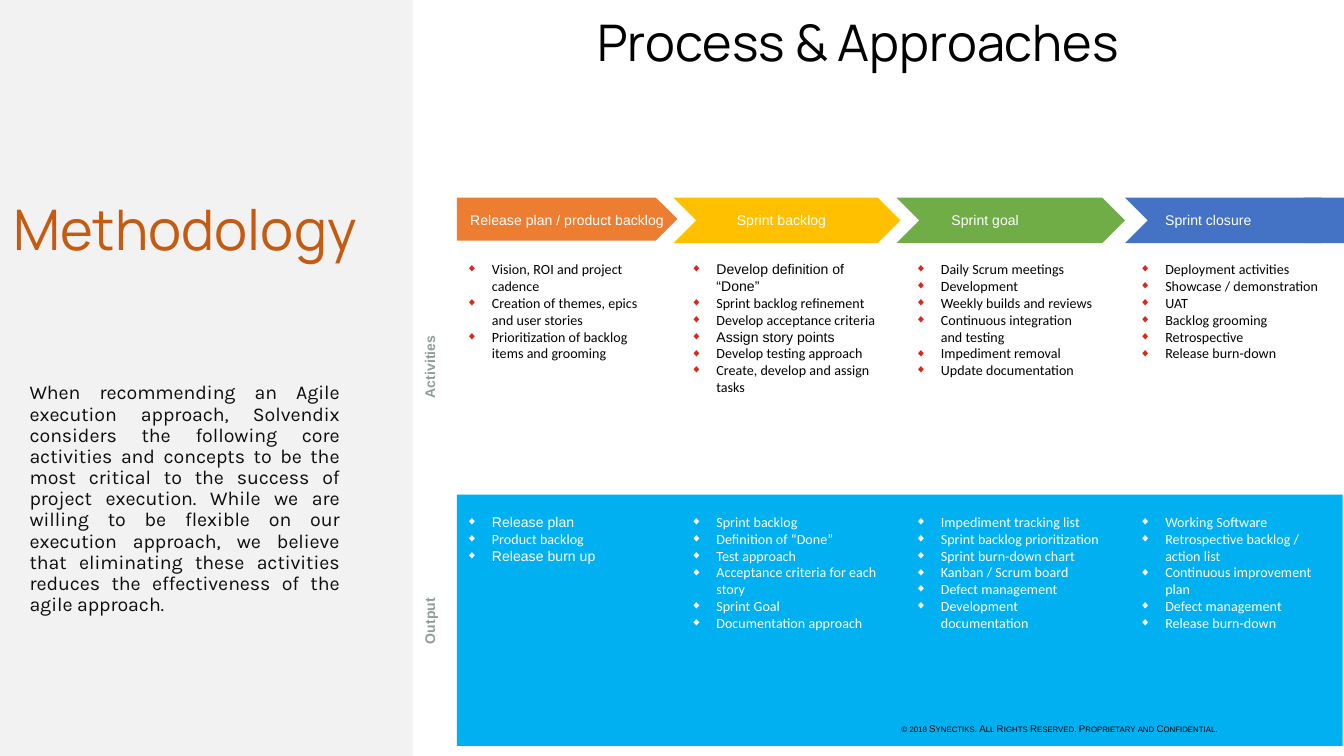
from copy import deepcopy
from dataclasses import dataclass

from lxml import etree
from pptx import Presentation, util as u
from pptx.dml.color import RGBColor
from pptx.enum import shapes, text
from pptx.oxml.ns import qn


@dataclass(frozen=True)
class Theme:
    sidebar: str = "F2F2F2"
    heading: str = "C55A11"
    body: str = "0D0D0D"
    ink: str = "000000"
    light: str = "FFFFFF"
    bullet: str = "DA291C"
    row_label: str = "919D9D"
    output: str = "00B0F0"
    phases: tuple = ("ED7D31", "FFC000", "70AD47", "4472C4")
    title_size: float = 27
    heading_size: float = 30
    body_size: float = 10.5
    small_size: float = 7.5
    legal_size: float = 5.25
    display_font: str = "Manrope"
    body_font: str = "Karla"
    label_font: str = "Arial"
    list_font: str = "Calibri"


THEME = Theme()
ALIGN = text.PP_ALIGN
PRESET = shapes.MSO_SHAPE
SLIDE_WIDTH = u.Inches(10)
SLIDE_HEIGHT = SLIDE_WIDTH * 9 // 16
COLUMN_STEP, COLUMN_WIDTH = 1.67, 1.59

# caption, preset, left, width, height, caption left, caption width, alignment
PHASES = [
    ("Release plan / product backlog", PRESET.PENTAGON, 0, 1.64, 0.32, 0.02, 1.52, ALIGN.RIGHT),
    ("Sprint backlog", PRESET.CHEVRON, 1.61, 1.69, 0.34, 1.63, 1.57, ALIGN.CENTER),
    ("Sprint goal", PRESET.CHEVRON, 3.27, 1.7, 0.34, 3.68, 1.2, ALIGN.LEFT),
    ("Sprint closure", PRESET.CHEVRON, 4.97, 1.63, 0.34, 5.27, 1.24, ALIGN.LEFT),
]
ACTIVITIES = [
    ["Vision, ROI and project cadence", "Creation of themes, epics \nand user stories",
     "Prioritization of backlog items and grooming"],
    ["Develop definition of “Done”", "Sprint backlog refinement", "Develop acceptance criteria",
     "Assign story points", "Develop testing approach", "Create, develop and assign tasks"],
    ["Daily Scrum meetings", "Development", "Weekly builds and reviews",
     "Continuous integration \nand testing", "Impediment removal", "Update documentation"],
    ["Deployment activities", "Showcase / demonstration", "UAT", "Backlog grooming",
     "Retrospective", "Release burn-down"],
]
OUTPUTS = [
    ["Release plan", "Product backlog", "Release burn up"],
    ["Sprint backlog", "Definition of “Done”", "Test approach",
     "Acceptance criteria for each story", "Sprint Goal", "Documentation approach"],
    ["Impediment tracking list", "Sprint backlog prioritization", "Sprint burn-down chart",
     "Kanban / Scrum board", "Defect management", "Development documentation"],
    ["Working Software", "Retrospective backlog / action list", "Continuous improvement plan",
     "Defect management", "Release burn-down"],
]
LABEL_FONT_ITEMS = {"Develop definition of “Done”", "Assign story points",
                    "Release plan", "Release burn up"}
APPROACH = (
    "When recommending an Agile execution approach, Solvendix considers the following core "
    "activities and concepts to be the most critical to the success of project execution. "
    "While we are willing to be flexible on our execution approach, we believe that "
    "eliminating these activities reduces the effectiveness of the agile approach."
)
LEGAL = "© 2018 Synectiks. All Rights Reserved. Proprietary and Confidential."


def apply(target, values):
    for name, value in values.items():
        setattr(target, name, value)


def inches(box):
    return [u.Inches(length) for length in box]


def place(holder, box):
    apply(holder, dict(zip(("left", "top", "width", "height"), inches(box))))


def write(paragraph, words, size, font, color, align=ALIGN.LEFT, bold=False):
    paragraph.text = words
    apply(paragraph, {"alignment": align, "space_before": u.Pt(0)})
    for run in paragraph.runs:
        apply(run.font, {"size": u.Pt(size), "name": font, "bold": bold})
        run.font.color.rgb = RGBColor.from_string(color)
    # A line break takes the type size of the run before it.
    for line_break in paragraph._p.findall(qn("a:br")):
        line_break.insert(0, deepcopy(paragraph.runs[0]._r.rPr))


def frame_of(holder, anchor=text.MSO_ANCHOR.TOP, margins=None):
    frame = holder.text_frame
    apply(frame, {"word_wrap": True, "auto_size": text.MSO_AUTO_SIZE.NONE,
                  "vertical_anchor": anchor})
    if margins:
        sides = ("margin_left", "margin_top", "margin_right", "margin_bottom")
        apply(frame, dict(zip(sides, inches(margins))))
    return frame


def add_block(slide, preset, box, color):
    block = slide.shapes.add_shape(preset, *inches(box))
    block.shadow.inherit = False
    block.fill.solid()
    block.fill.fore_color.rgb = RGBColor.from_string(color)
    block.line.fill.background()
    return block


def add_label(slide, box, words, color, align, bold=False):
    label = slide.shapes.add_textbox(*inches(box))
    frame = frame_of(label, text.MSO_ANCHOR.MIDDLE, (0, 0, 0, 0))
    write(frame.paragraphs[0], words, THEME.small_size, THEME.label_font, color, align, bold)
    return label


def set_indent(paragraph, left, first):
    properties = paragraph._p.get_or_add_pPr()
    properties.set("marL", str(u.Inches(left)))
    properties.set("indent", str(u.Inches(first)))
    return properties


def add_bullet(paragraph, color):
    properties = set_indent(paragraph, 0.19, -0.19)
    bullet_color = etree.SubElement(properties, qn("a:buClr"))
    etree.SubElement(bullet_color, qn("a:srgbClr"), val=color)
    etree.SubElement(properties, qn("a:buSzPct"), val="80000")
    etree.SubElement(properties, qn("a:buFont"), typeface=THEME.label_font)
    etree.SubElement(properties, qn("a:buChar"), char="◆")


def add_list(slide, box, items, color, bullet_color):
    frame = frame_of(slide.shapes.add_textbox(*inches(box)), margins=(0.07, 0, 0.09, 0))
    for number, item in enumerate(items):
        paragraph = frame.add_paragraph() if number else frame.paragraphs[0]
        add_bullet(paragraph, bullet_color)
        font = THEME.label_font if item in LABEL_FONT_ITEMS else THEME.list_font
        write(paragraph, item, THEME.small_size, font, color)


def build_sidebar(slide, body, box):
    left, top, width, height = box
    panel = add_block(slide, PRESET.RECTANGLE, box, THEME.sidebar)
    panel.height = SLIDE_HEIGHT
    slide.shapes._spTree.insert(2, panel._element)  # behind the placeholders
    heading = slide.shapes.add_textbox(*inches((left, top + 1.47, width + 0.12, 0.54)))
    line = frame_of(heading).paragraphs[0]
    write(line, "Methodology", THEME.heading_size, THEME.display_font, THEME.heading)
    line.line_spacing = u.Pt(30.8)

    place(body, (left + 0.12, top + 2.8, 2.51, 2.31))
    approach = frame_of(body).paragraphs[0]
    etree.SubElement(set_indent(approach, 0, 0), qn("a:buNone"))
    write(approach, APPROACH, THEME.body_size, THEME.body_font, THEME.body, ALIGN.JUSTIFY)
    approach.line_spacing = 0.9


def build_phases(slide, left, top):
    for phase, color in zip(PHASES, THEME.phases):
        caption, preset, offset, width, height, caption_offset, caption_width, align = phase
        add_block(slide, preset, (left + offset, top, width, height), color)
        if phase is PHASES[-1]:  # squares off the last arrow
            add_block(slide, PRESET.RECTANGLE, (left + 6.3, top, 0.3, height), color)
        add_label(slide, (left + caption_offset, top, caption_width, 0.33),
                  caption, THEME.light, align)


def build_row(slide, box, name, name_center, columns, color, bullet_color):
    """Lists in equal columns, with the row's name turned upright at their left."""
    left, top, width, height = box
    for number, items in enumerate(columns):
        add_list(slide, (left + number * COLUMN_STEP, top, width, height),
                 items, color, bullet_color)
    row_name = add_label(slide, (left - 1.15, name_center - 0.16, 1.89, 0.32),
                         name, THEME.row_label, ALIGN.CENTER, True)
    row_name.rotation = 270


def build_legal(slide, box):
    line = frame_of(slide.shapes.add_textbox(*inches(box))).paragraphs[0]
    write(line, LEGAL, THEME.legal_size, THEME.label_font, THEME.ink)
    line.runs[0]._r.get_or_add_rPr().set("cap", "small")


def main():
    deck = Presentation()
    apply(deck, {"slide_width": SLIDE_WIDTH, "slide_height": SLIDE_HEIGHT})
    slide = deck.slides.add_slide(deck.slide_layouts[1])
    title, body = slide.placeholders
    place(title, (3.42, 0.03, 5.93, 0.76))
    write(frame_of(title).paragraphs[0], "Process & Approaches", THEME.title_size,
          THEME.display_font, THEME.ink, ALIGN.CENTER)
    build_sidebar(slide, body, (0, 0, 3.07, 5.62))
    add_block(slide, PRESET.RECTANGLE, (3.4, 3.68, 6.59, 1.87), THEME.output)
    build_phases(slide, 3.4, 1.47)
    build_row(slide, (3.4, 1.94, COLUMN_WIDTH, 1.74), "Activities", 2.73,
              ACTIVITIES, THEME.ink, THEME.bullet)
    build_row(slide, (3.4, 3.82, COLUMN_WIDTH, 1.74), "Output", 4.62,
              OUTPUTS, THEME.light, THEME.light)
    build_legal(slide, (6.61, 5.33, 2.89, 0.28))
    deck.save("out.pptx")


if __name__ == "__main__":
    main()
